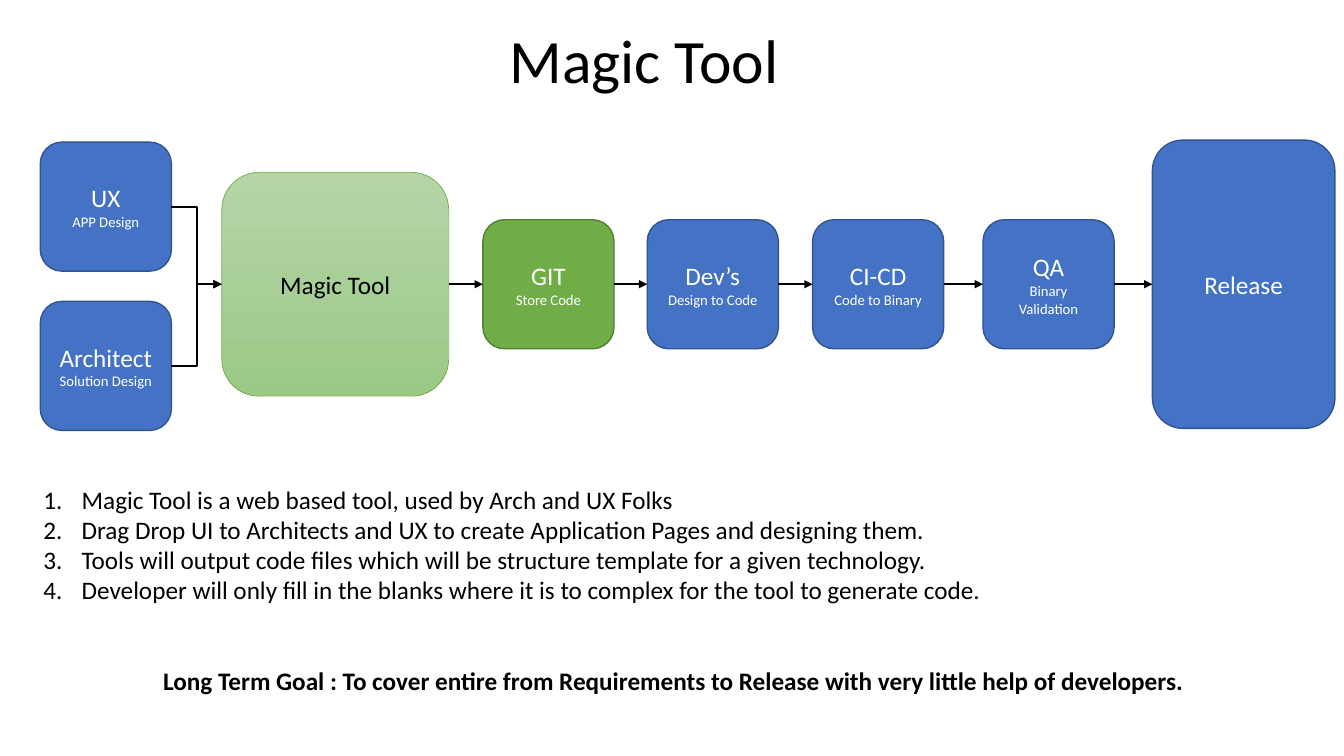
from lxml.etree import SubElement
from pptx import Presentation
from pptx.dml.color import RGBColor
from pptx.enum.shapes import MSO_CONNECTOR, MSO_SHAPE
from pptx.enum.text import MSO_ANCHOR, MSO_AUTO_SIZE, PP_ALIGN
from pptx.oxml.ns import qn
from pptx.util import Inches, Pt

BLUE, BLUE_EDGE = "4472C4", "325491"
GREEN, GREEN_EDGE = "70AD47", "538035"
BLACK, WHITE = "000000", "FFFFFF"
LEFT_SITE, RIGHT_SITE = 1, 3
STAGE_WIDTH, STAGE_HEIGHT = 1.3, 1.28


def paint(color, value):
    color.rgb = RGBColor.from_string(value)


def style(paragraph, size, color=BLACK, align=PP_ALIGN.LEFT, bold=False):
    paragraph.alignment = align
    paragraph.space_before = Pt(0)
    font = paragraph.font
    font.name, font.size, font.bold = "Calibri", Pt(size), bold
    paint(font.color, color)


def place(shape, box):
    shape.left, shape.top, shape.width, shape.height = map(Inches, box)


def add_stage(slide, box, name, task=None, fill=BLUE, edge=BLUE_EDGE,
              ink=WHITE, edge_width=1):
    stage = slide.shapes.add_shape(MSO_SHAPE.ROUNDED_RECTANGLE, *map(Inches, box))
    stage.shadow.inherit = False
    if isinstance(fill, tuple):
        stage.fill.gradient()
        stage.fill.gradient_angle = 270
        for stop, value in zip(stage.fill.gradient_stops, fill):
            paint(stop.color, value)
    else:
        stage.fill.solid()
        paint(stage.fill.fore_color, fill)
    paint(stage.line.color, edge)
    stage.line.width = Pt(edge_width)
    frame = stage.text_frame
    frame.word_wrap = True
    frame.vertical_anchor = MSO_ANCHOR.MIDDLE
    frame.text = name
    style(frame.paragraphs[0], 18, ink, PP_ALIGN.CENTER)
    if task:
        caption = frame.add_paragraph()
        caption.text = task
        style(caption, 10.5, ink, PP_ALIGN.CENTER)
    return stage


def add_arrow(slide, source, target, route=MSO_CONNECTOR.STRAIGHT):
    arrow = slide.shapes.add_connector(route, 0, 0, 0, 0)
    arrow.begin_connect(source, RIGHT_SITE)
    arrow.end_connect(target, LEFT_SITE)
    paint(arrow.line.color, BLACK)
    arrow.line.width = Pt(1.5)
    SubElement(arrow.line._get_or_add_ln(), qn("a:tailEnd"), type="triangle")
    SubElement(arrow._element.spPr, qn("a:effectLst"))


def add_title(slide, box, text):
    title = slide.shapes.title
    place(title, box)
    title.text = text
    frame = title.text_frame
    frame.word_wrap = False
    frame.auto_size = MSO_AUTO_SIZE.NONE
    style(frame.paragraphs[0], 44, align=PP_ALIGN.CENTER)


def add_flow(slide, box):
    left, top, width, height = box
    middle = top + height / 2

    def centred(x, w=STAGE_WIDTH, h=STAGE_HEIGHT):
        return left + x, middle - h / 2, w, h

    # Inputs
    inputs = [
        add_stage(slide, (left, top + 0.02 + row * 1.58, STAGE_WIDTH, STAGE_HEIGHT), *words)
        for row, words in enumerate([("UX", "APP Design"),
                                     ("Architect", "Solution Design")])]

    # Tool, delivery stages and release
    tool = add_stage(slide, centred(1.8, 2.25, 2.22), "Magic Tool",
                     fill=("B5D5A7", "9CC987"), edge=GREEN, ink=BLACK, edge_width=0.5)
    git = add_stage(slide, centred(4.39), "GIT", "Store Code", GREEN, GREEN_EDGE)
    delivery = [add_stage(slide, centred(x), name, task) for x, name, task in [
        (6.02, "Dev’s", "Design to Code"),
        (7.66, "CI-CD", "Code to Binary"),
        (9.35, "QA", "Binary Validation")]]
    release = add_stage(slide, centred(width - 1.81, 1.81, height), "Release")

    # Arrows
    for source in inputs:
        add_arrow(slide, source, tool, MSO_CONNECTOR.ELBOW)
    chain = [tool, git, *delivery, release]
    for source, target in zip(chain, chain[1:]):
        add_arrow(slide, source, target)


def add_features(slide, box, features):
    body = slide.placeholders[1]
    place(body, box)
    frame = body.text_frame
    frame.auto_size = MSO_AUTO_SIZE.NONE
    frame.text = "\n".join(features)
    for paragraph in frame.paragraphs:
        properties = paragraph._p.get_or_add_pPr()
        properties.set("marL", str(Inches(0.38)))
        properties.set("indent", str(-Inches(0.38)))
        SubElement(properties, qn("a:buFont"), typeface="+mj-lt")
        SubElement(properties, qn("a:buAutoNum"), type="arabicPeriod")
        style(paragraph, 18)


def add_goal(slide, box, text):
    goal = slide.shapes.add_textbox(*map(Inches, box))
    goal.text_frame.text = text
    goal.text_frame.word_wrap = False
    style(goal.text_frame.paragraphs[0], 18, bold=True)


deck = Presentation()
deck.slide_width, deck.slide_height = Inches(13.33), Inches(7.5)
slide = deck.slides.add_slide(deck.slide_layouts[1])

add_title(slide, (4.94, 0.16, 2.9, 0.84), "Magic Tool")
add_flow(slide, (0.4, 1.39, 12.84, 2.86))
add_features(slide, (0.33, 4.75, 12.8, 1.31), [
    "Magic Tool is a web based tool, used by Arch and UX Folks",
    "Drag Drop UI to Architects and UX to create Application Pages and designing them.",
    "Tools will output code files which will be structure template for a given technology.",
    "Developer will only fill in the blanks where it is to complex for the tool to generate code.",
])
add_goal(slide, (1.52, 6.55, 10.41, 0.4),
         "Long Term Goal : To cover entire from Requirements to Release "
         "with very little help of developers.")

deck.save("out.pptx")
